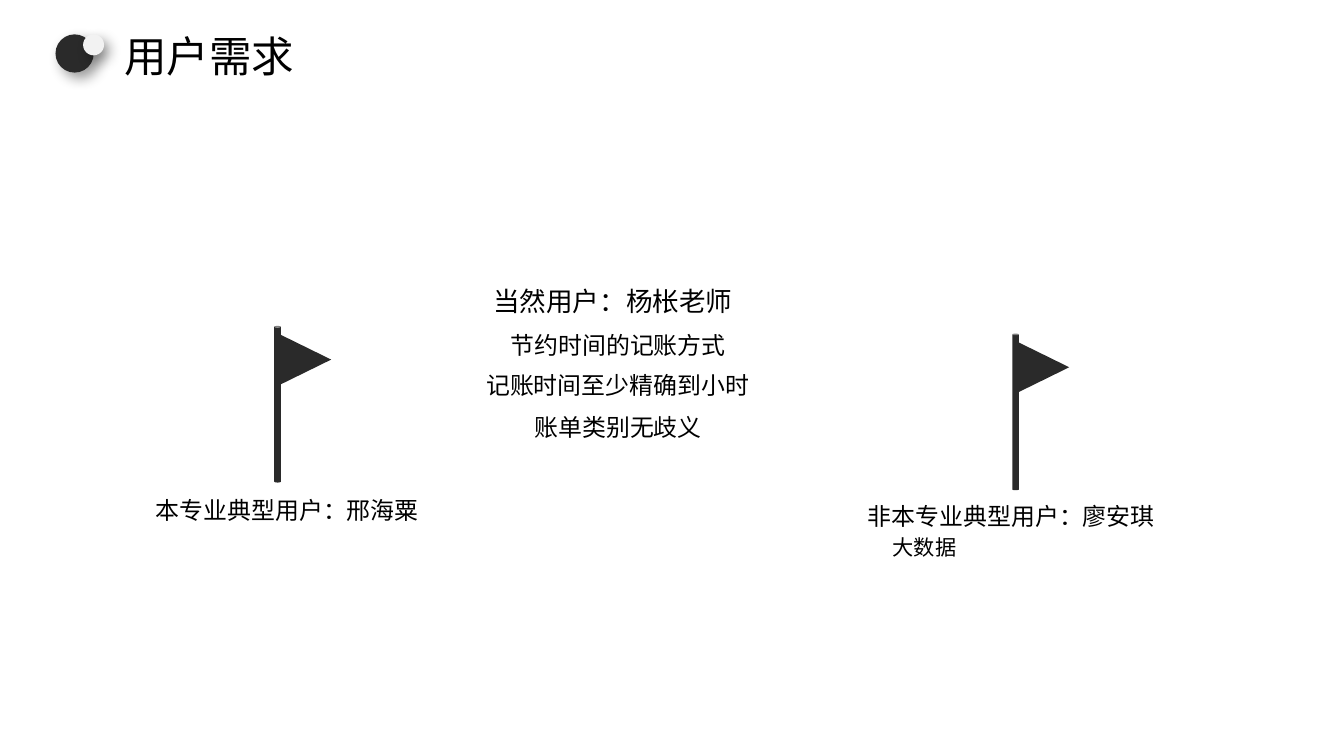
from lxml import etree
from pptx import Presentation
from pptx.dml.color import RGBColor
from pptx.enum.shapes import MSO_SHAPE
from pptx.enum.text import MSO_ANCHOR, MSO_AUTO_SIZE
from pptx.oxml.ns import qn
from pptx.util import Pt

OVAL, TRIANGLE, CAN = MSO_SHAPE.OVAL, MSO_SHAPE.ISOSCELES_TRIANGLE, MSO_SHAPE.CAN
TOP = MSO_ANCHOR.TOP
FIT_SHAPE, FIT_NONE = MSO_AUTO_SIZE.SHAPE_TO_FIT_TEXT, MSO_AUTO_SIZE.NONE

BLACK = RGBColor(0x00, 0x00, 0x00)
CHARCOAL = RGBColor(0x2A, 0x2A, 0x2A)
PALE_GREY = RGBColor(0xF2, 0xF2, 0xF2)
WHITE = RGBColor(0xFF, 0xFF, 0xFF)


class UserNeedsSlide:
    def __init__(self, deck, body_font="Calibri"):
        self.body_font = body_font
        self.slide = deck.slides.add_slide(deck.slide_layouts[6])
        background = self.slide.background.fill
        background.solid()
        background.fore_color.rgb = WHITE

    def solid(self, preset, left, top, width, height, color, parent=None):
        """Draw an unlined, unshadowed preset shape on the slide or in a group."""
        shapes = (parent or self.slide).shapes
        shape = shapes.add_shape(preset, Pt(left), Pt(top), Pt(width), Pt(height))
        shape.shadow.inherit = False
        shape.fill.solid()
        shape.fill.fore_color.rgb = color
        shape.line.fill.background()
        return shape

    def ball(self, left, top, size, color):
        """Draw a circle that casts a soft shadow to the lower right."""
        circle = self.solid(OVAL, left, top, size, size, color)
        effects = circle._element.spPr.find(qn("a:effectLst"))
        shadow = etree.SubElement(
            effects, qn("a:outerShdw"), blurRad=str(Pt(10)), dist=str(Pt(6)),
            dir=str(45 * 60000), algn="tl", rotWithShape="0")
        tint = etree.SubElement(shadow, qn("a:srgbClr"), val=str(BLACK))
        etree.SubElement(tint, qn("a:alpha"), val="40000")

    def flag(self, left, top):
        group = self.slide.shapes.add_group_shape()
        pennant = self.solid(TRIANGLE, left + 3.6, top + 5.6, 38.9, 39.6, CHARCOAL, group)
        pennant.rotation = 90
        self.solid(CAN, left, top, 5, 118, CHARCOAL, group)

    def text(self, wording, left, top, width, height, size=18, font=None,
             wrap=True, fit=FIT_SHAPE, space_after=0):
        box = self.slide.shapes.add_textbox(Pt(left), Pt(top), Pt(width), Pt(height))
        frame_format = {"word_wrap": wrap, "auto_size": fit, "vertical_anchor": TOP}
        for attribute, value in frame_format.items():
            setattr(box.text_frame, attribute, value)
        paragraph = box.text_frame.paragraphs[0]
        paragraph.space_after = Pt(space_after)
        run = paragraph.add_run()
        run.text = wording
        for attribute, value in {"name": font or self.body_font, "size": Pt(size)}.items():
            setattr(run.font, attribute, value)
        run.font.color.rgb = BLACK


def main():
    deck = Presentation()
    deck.slide_width, deck.slide_height = Pt(1012.3), Pt(569.5)
    page = UserNeedsSlide(deck)

    page.ball(41.8, 25.9, 28.8, CHARCOAL)
    page.ball(62.6, 25.9, 15.8, PALE_GREY)
    page.text("用户需求", 86.4, 19.4, 241.2, 28.8, size=32, font="Arial",
              fit=FIT_NONE, space_after=6)

    for flag_left, flag_top in ((206.6, 245.5), (762.5, 251.3)):
        page.flag(flag_left, flag_top)
    page.text("本专业典型用户：邢海粟", 110.2, 370.1, 217.4, 28.8)
    page.text("非本专业典型用户：廖安琪", 646.6, 374.4, 232.6, 28.8)
    page.text("大数据", 665.3, 398.9, 73.4, 26.6, size=16)

    page.text("当然用户：杨枨老师", 364.3, 211, 203.8, 31.7, size=20)
    needs_center = 466.4
    needs = (
        ("节约时间的记账方式", 245.5, 177.8),
        ("记账时间至少精确到小时", 275.8, 214.6),
        ("账单类别无歧义", 307.4, 141.8),
    )
    for need, top, width in needs:
        page.text(need, needs_center - width / 2, top, width, 28.8, wrap=False)

    deck.save("out.pptx")


if __name__ == "__main__":
    main()
